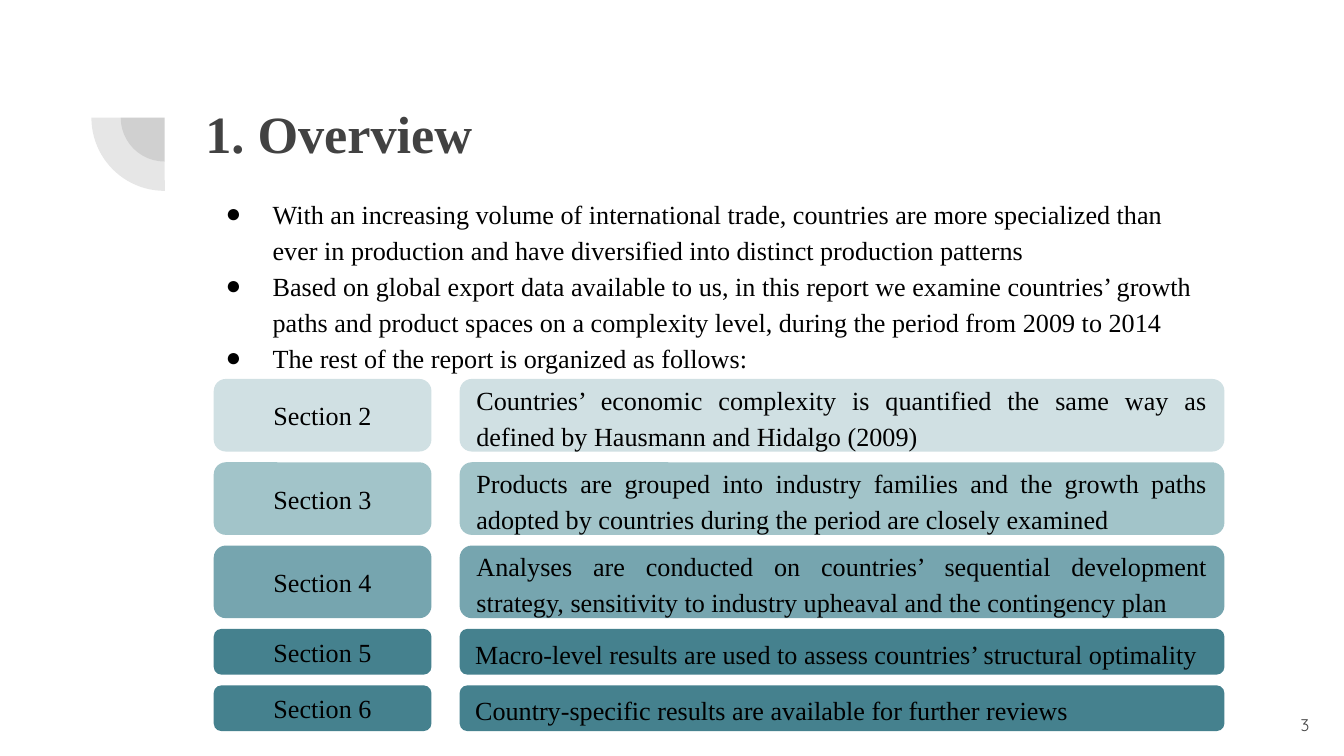
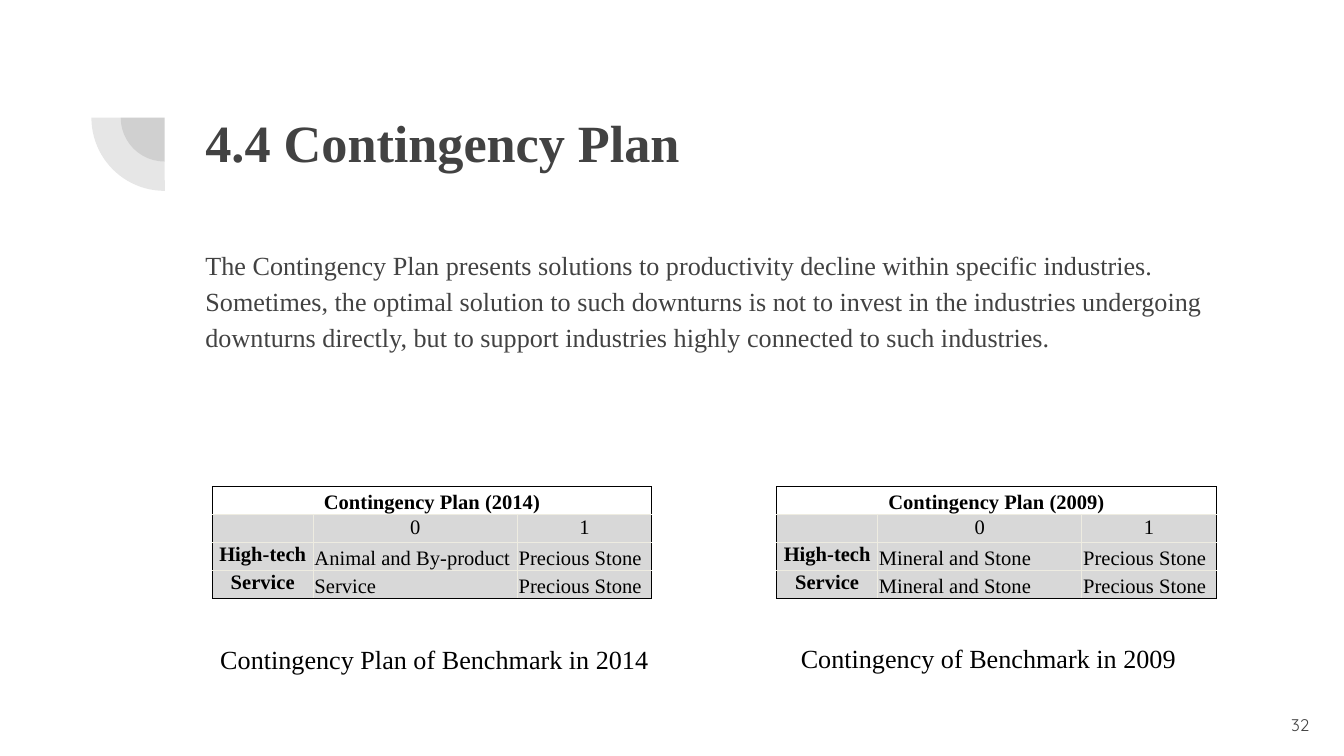
from lxml import etree
from pptx import Presentation
from pptx.dml.color import RGBColor
from pptx.enum.shapes import MSO_SHAPE
from pptx.enum.text import MSO_ANCHOR, PP_ALIGN
from pptx.oxml.ns import qn
from pptx.util import Inches, Pt

PIE, ROUNDED = MSO_SHAPE.PIE, MSO_SHAPE.ROUNDED_RECTANGLE
TOP, MIDDLE, BOTTOM = MSO_ANCHOR.TOP, MSO_ANCHOR.MIDDLE, MSO_ANCHOR.BOTTOM
LEFT, CENTER, RIGHT = PP_ALIGN.LEFT, PP_ALIGN.CENTER, PP_ALIGN.RIGHT
JUSTIFY = PP_ALIGN.JUSTIFY

COLORS = {
    "background": "FFFFFF", "heading": "424242", "text": "000000",
    "mist": "D0E0E3", "sky": "A2C4C9", "steel": "76A5AF", "teal": "45818E",
    "cell": "D8D8D8", "edge": "000000", "grid": "EEECE1",
}
SERIF, SANS = "Times New Roman", "Quicksand"
BODY_INSETS = (0.1, 0.1, 0.1, 0.1)
CAPTION_INSETS = (0.1, 0.05, 0.1, 0.05)
CELL_INSETS = (0.01, 0.01, 0.01, 0)

BULLETS = [
    ("With an increasing volume of international trade, countries are more specialized than "
     "ever in production and have diversified into distinct production patterns", LEFT),
    ("Based on global export data available to us, in this report we examine countries’ growth "
     "paths and product spaces on a complexity level, during the period from 2009 to 2014", LEFT),
    ("The rest of the report is organized as follows:", JUSTIFY),
]
SECTIONS = [
    ("Section 2", "Countries’ economic complexity is quantified the same way as "
     "defined by Hausmann and Hidalgo (2009)", 0.54, "mist"),
    ("Section 3", "Products are grouped into industry families and the growth paths "
     "adopted by countries during the period are closely examined", 0.54, "sky"),
    ("Section 4", "Analyses are conducted on countries’ sequential development "
     "strategy, sensitivity to industry upheaval and the contingency plan", 0.54, "steel"),
    ("Section 5", "Macro-level results are used to assess countries’ structural optimality",
     0.34, "teal"),
    ("Section 6", "Country-specific results are available for further reviews", 0.34, "teal"),
]
PLAN_SUMMARY = (
    "The Contingency Plan presents solutions to productivity decline within specific industries. "
    "Sometimes, the optimal solution to such downturns is not to invest in the industries "
    "undergoing downturns directly, but to support industries highly connected to such industries."
)


def inches(box):
    return [Inches(value) for value in box]


def rgb(name):
    return RGBColor.from_string(COLORS[name])


def write(frame, text, *, size=14, color="text", font=SERIF, bold=False, align=LEFT,
          spacing=None, after=None, bullet=None, first=True):
    """Write one paragraph of formatted text into a text frame."""
    paragraph = frame.paragraphs[0] if first else frame.add_paragraph()
    paragraph.alignment = align
    if spacing:
        paragraph.line_spacing = spacing
    if after:
        paragraph.space_after = Pt(after)
    if bullet:
        properties = paragraph._p.get_or_add_pPr()
        properties.set("marL", str(Inches(0.5)))
        properties.set("indent", str(Inches(-0.35)))
        bullet_color = etree.SubElement(properties, qn("a:buClr"))
        etree.SubElement(bullet_color, qn("a:srgbClr"), val=COLORS[color])
        etree.SubElement(properties, qn("a:buSzPts"), val=str(size * 100))
        etree.SubElement(properties, qn("a:buFont"), typeface=font)
        etree.SubElement(properties, qn("a:buChar"), char=bullet)
    if not text:
        etree.SubElement(paragraph._p, qn("a:endParaRPr"), sz=str(size * 100))
        return
    run = paragraph.add_run()
    run.text = text
    run.font.size, run.font.name, run.font.bold = Pt(size), font, bold
    run.font.color.rgb = rgb(color)


def prepare_frame(frame, insets=BODY_INSETS, anchor=TOP, wrap=True):
    (frame.margin_left, frame.margin_top,
     frame.margin_right, frame.margin_bottom) = inches(insets)
    frame.vertical_anchor, frame.word_wrap = anchor, wrap
    return frame


def add_text_box(slide, box, **layout):
    return prepare_frame(slide.shapes.add_textbox(*inches(box)).text_frame, **layout)


def add_filled_shape(slide, kind, box, color):
    shape = slide.shapes.add_shape(kind, *inches(box))
    shape.shadow.inherit = False
    shape.fill.solid()
    shape.fill.fore_color.rgb = rgb(color)
    shape.line.fill.background()
    return shape


def add_corner_mark(slide, box):
    """Two concentric translucent quarter circles."""
    left, top, size, _ = box
    center_x, center_y = left + size / 2, top + size / 2
    for diameter in (size * 0.6, size):
        quarter = add_filled_shape(slide, PIE, (center_x - diameter / 2, center_y - diameter / 2,
                                                diameter, diameter), "heading")
        quarter.adjustments[0], quarter.adjustments[1] = 107.93, 162
        quarter.rotation = 270
        color = quarter._element.spPr.find(".//" + qn("a:srgbClr"))
        etree.SubElement(color, qn("a:alpha"), val="13000")


def add_base_slide(presentation, title, number, **title_format):
    """Blank slide with the shared mark, title and page number."""
    slide = presentation.slides.add_slide(presentation.slide_layouts[6])
    slide.background.fill.solid()
    slide.background.fill.fore_color.rgb = rgb("background")
    add_corner_mark(slide, (0.68, 0.33, 1.09, 1.09))
    write(add_text_box(slide, (1.43, 0.65, 7.69, 1.09)), title,
          size=28, color="heading", bold=True, **title_format)
    write(add_text_box(slide, (9.24, 5.18, 0.6, 0.43), anchor=MIDDLE), str(number),
          size=9, color="heading", font=SANS, align=RIGHT)
    return slide


def add_bullets(slide, box):
    frame = add_text_box(slide, box)
    for index, (text, align) in enumerate(BULLETS):
        write(frame, text, align=align, spacing=1.15, bullet="●", first=index == 0)


def add_section_rows(slide, box):
    """Pairs of section label and description, stacked with equal gaps."""
    left, top, width = box
    label_width, column_gap, row_gap = 1.62, 0.21, 0.08
    offset = label_width + column_gap
    for label, description, height, color in SECTIONS:
        parts = [
            (label, left, label_width, {"align": CENTER}),
            (description, left + offset, width - offset, {"align": JUSTIFY, "spacing": 1.15}),
        ]
        for text, part_left, part_width, text_format in parts:
            shape = add_filled_shape(slide, ROUNDED, (part_left, top, part_width, height), color)
            write(prepare_frame(shape.text_frame, anchor=MIDDLE), text, **text_format)
        top += height + row_gap


def set_borders(cell, colors):
    """Colours come in the order left, right, top, bottom."""
    properties = cell._tc.get_or_add_tcPr()
    for index, (side, color) in enumerate(zip("LRTB", colors)):
        line = etree.Element(qn(f"a:ln{side}"), w=str(Pt(0.5)))
        fill = etree.SubElement(line, qn("a:solidFill"))
        etree.SubElement(fill, qn("a:srgbClr"), val=COLORS[color])
        properties.insert(index, line)


def add_plan_table(slide, box, year, high_tech, service):
    rows = [
        [f"Contingency Plan ({year})", "", ""],
        ["", "0", "1"],
        ["High-tech", high_tech, "Precious Stone"],
        ["Service", service, "Precious Stone"],
    ]
    table = slide.shapes.add_table(len(rows), 3, *inches(box)).table
    table.first_row = table.horz_banding = False
    for column, width in zip(table.columns, (0.75, 1.52, 1.0)):
        column.width = Inches(width)
    table.cell(0, 0).merge(table.cell(0, 2))
    for row, texts in enumerate(rows):
        table.rows[row].height = Inches(box[3] / len(rows))
        for column, text in enumerate(texts):
            cell = table.cell(row, column)
            title, value = row == 0, row > 1 and column > 0
            cell.fill.solid()
            cell.fill.fore_color.rgb = rgb("background" if title else "cell")
            on_edge = (title or column == 0, title or column == 2, title, row == len(rows) - 1)
            set_borders(cell, ["edge" if edge else "grid" for edge in on_edge])
            (cell.margin_left, cell.margin_top,
             cell.margin_right, cell.margin_bottom) = inches(CELL_INSETS)
            cell.vertical_anchor = BOTTOM if title or value else TOP
            write(cell.text_frame, text, size=11, bold=title or column == 0,
                  align=LEFT if value else CENTER)


def add_caption(slide, box, text):
    write(add_text_box(slide, box, insets=CAPTION_INSETS, wrap=False), text)


def build_overview(presentation):
    slide = add_base_slide(presentation, "1. Overview", 3)
    add_bullets(slide, (1.43, 1.34, 7.69, 3.61))
    add_section_rows(slide, (1.59, 2.82, 7.52))


def build_contingency_plan(presentation):
    slide = add_base_slide(presentation, "4.4 Contingency Plan", 32, spacing=1.15, after=16)
    write(add_text_box(slide, (1.43, 1.72, 7.69, 2.78)), PLAN_SUMMARY,
          color="heading", spacing=1.15, after=16)
    add_plan_table(slide, (5.78, 3.62, 3.28, 0.83), 2009, "Mineral and Stone", "Mineral and Stone")
    add_plan_table(slide, (1.58, 3.62, 3.28, 0.83), 2014, "Animal and By-product", "Service")
    add_caption(slide, (1.54, 4.74, 3.42, 0.34), "Contingency Plan of Benchmark in 2014")
    add_caption(slide, (5.86, 4.73, 3.02, 0.34), "Contingency of Benchmark in 2009")


def main():
    presentation = Presentation()
    presentation.slide_width = Inches(10)
    presentation.slide_height = presentation.slide_width * 9 // 16
    build_overview(presentation)
    build_contingency_plan(presentation)
    presentation.save("out.pptx")


if __name__ == "__main__":
    main()
